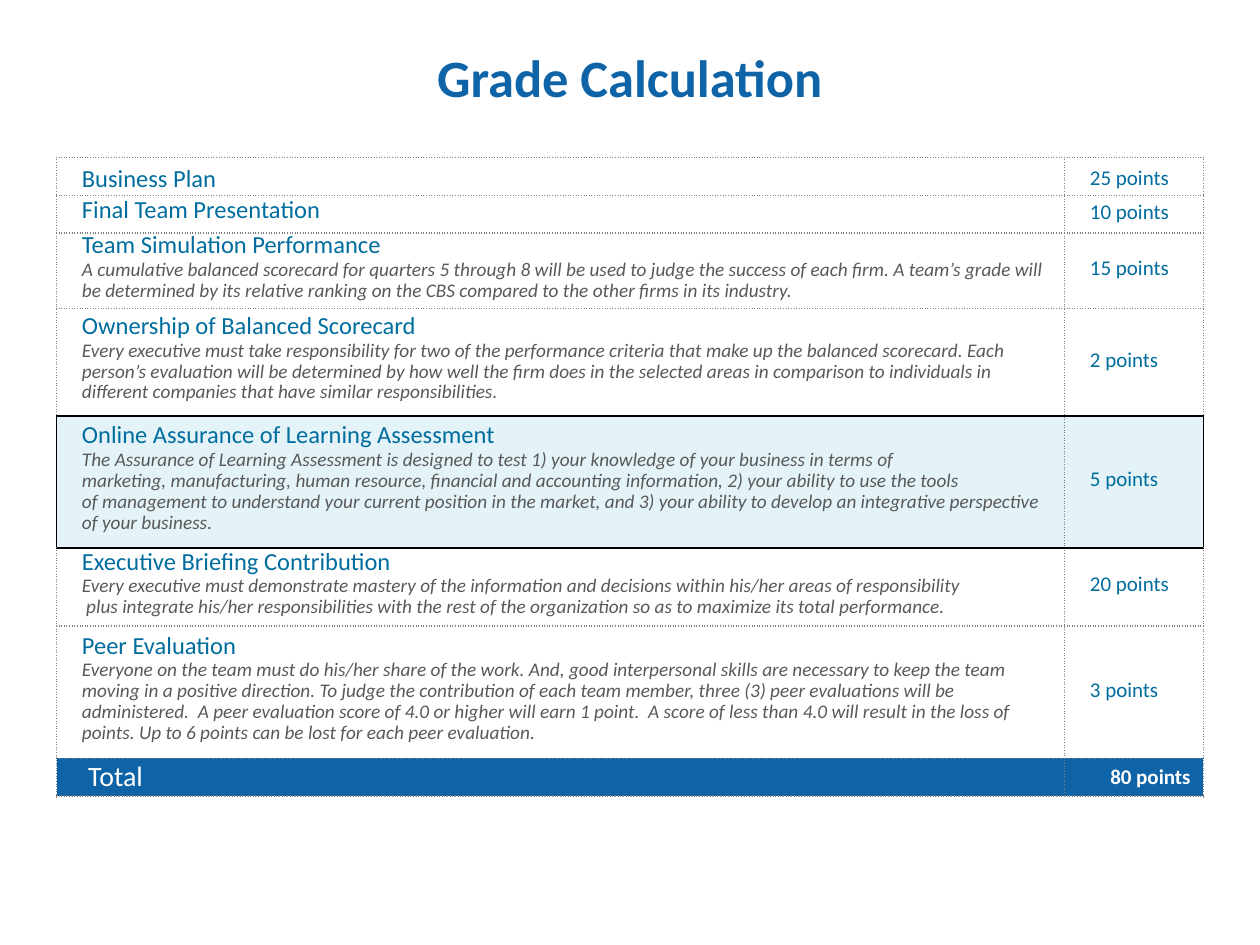
from lxml import etree
from pptx import Presentation
from pptx import util as u
from pptx.dml.color import RGBColor
from pptx.enum import text
from pptx.oxml.ns import qn

# Content: heading, description paragraphs, points, row height
GRADES = [
    ("Business Plan", [], "25 points", 21.6),
    ("Final Team Presentation", [], "10 points", 21.6),
    ("Team Simulation Performance", [
        "A cumulative balanced scorecard for quarters 5 through 8 will be used to judge the "
        "success of each firm. A team’s grade will be determined by its relative ranking on "
        "the CBS compared to the other firms in its industry."], "15 points", 43.2),
    ("Ownership of Balanced Scorecard", [
        "Every executive must take responsibility for two of the performance criteria that "
        "make up the balanced scorecard. Each person’s evaluation will be determined by how "
        "well the firm does in the selected areas in comparison to individuals in different "
        "companies that have similar responsibilities."], "2 points", 61.2),
    ("Online Assurance of Learning Assessment", [
        "The Assurance of Learning Assessment is designed to test 1) your knowledge of your "
        "business in terms of",
        "marketing, manufacturing, human resource, financial and accounting information, "
        "2) your ability to use the tools\nof management to understand your current position "
        "in the market, and 3) your ability to develop an integrative perspective of your "
        "business."], "5 points", 75.6),
    ("Executive Briefing Contribution", [
        "Every executive must demonstrate mastery of the information and decisions within "
        "his/her areas of responsibility",
        " plus integrate his/her responsibilities with the rest of the organization so as to "
        "maximize its total performance."], "20 points", 44.64),
    ("Peer Evaluation", [
        "Everyone on the team must do his/her share of the work. And, good interpersonal "
        "skills are necessary to keep the team moving in a positive direction. To judge the "
        "contribution of each team member, three (3) peer evaluations will be administered.  "
        "A peer evaluation score of 4.0 or higher will earn 1 point.  A score of less than "
        "4.0 will result in the loss of points. Up to 6 points can be lost for each peer "
        "evaluation."], "3 points", 75.6),
    (" Total", [], "80 points", 21.6),
]
HIGHLIGHT = 4
TOTAL = len(GRADES) - 1
COLUMNS = (576, 79.2)
LEFT, TOP = 32.4, 90
BLUE, TEAL, GRAY, WHITE = "0F64A8", "006D9E", "595959", "FFFFFF"
DOTTED, SOLID = ("7F7F7F", "sysDot"), ("000000", "solid")


def color(hex_value):
    return RGBColor.from_string(hex_value)


def write(paragraph, words, size, ink, spacing=None, bold=False, italic=False):
    paragraph.text = words
    paragraph.line_spacing = spacing
    font = paragraph.font
    font.name, font.size = "Calibri", u.Pt(size)
    font.bold, font.italic = bold, italic
    font.color.rgb = color(ink)


def set_borders(cell, sides):
    """Draw left, right, top and bottom borders, ahead of the cell's fill."""
    properties = cell._tc.get_or_add_tcPr()
    for position, (side, (ink, dash)) in enumerate(zip("LRTB", sides)):
        line = etree.Element(qn(f"a:ln{side}"), w=str(u.Pt(1)))
        fill = etree.SubElement(line, qn("a:solidFill"))
        etree.SubElement(fill, qn("a:srgbClr"), val=ink)
        etree.SubElement(line, qn("a:prstDash"), val=dash)
        properties.insert(position, line)


def border_sides(row, column):
    framed = row == HIGHLIGHT
    return (SOLID if framed and column == 0 else DOTTED,
            SOLID if framed and column == 1 else DOTTED,
            SOLID if row in (HIGHLIGHT, HIGHLIGHT + 1) else DOTTED,
            SOLID if row in (HIGHLIGHT - 1, HIGHLIGHT) else DOTTED)


def main():
    deck = Presentation()
    deck.slide_width, deck.slide_height = u.Pt(720), u.Pt(540)
    slide = deck.slides.add_slide(deck.slide_layouts[6])

    # Title
    title = slide.shapes.add_textbox(
        u.Pt(LEFT), u.Pt(12.24), u.Pt(sum(COLUMNS)), u.Pt(62.64)).text_frame
    title.word_wrap = True
    title.vertical_anchor = text.MSO_ANCHOR.MIDDLE
    write(title.paragraphs[0], "Grade Calculation", 30, BLUE, bold=True)
    title.paragraphs[0].alignment = text.PP_ALIGN.CENTER

    # Grade table
    grades = slide.shapes.add_table(
        len(GRADES), len(COLUMNS), u.Pt(LEFT), u.Pt(TOP), u.Pt(sum(COLUMNS)),
        u.Pt(sum(height for *_, height in GRADES))).table
    grades.first_row = grades.horz_banding = False
    for column, width in zip(grades.columns, COLUMNS):
        column.width = u.Pt(width)

    for row, (heading, descriptions, points, height) in enumerate(GRADES):
        grades.rows[row].height = u.Pt(height)
        is_total = row == TOTAL
        ink = WHITE if is_total else TEAL
        spacing = {0: 1.15, TOTAL: None}.get(row, u.Pt(12))
        for column in range(len(COLUMNS)):
            cell = grades.cell(row, column)
            cell.margin_left, cell.margin_right = u.Pt(14.4), u.Pt(7.2)
            cell.margin_top = cell.margin_bottom = u.Pt(0.72)
            cell.vertical_anchor = text.MSO_ANCHOR.MIDDLE
            if is_total or row == HIGHLIGHT:
                cell.fill.solid()
                cell.fill.fore_color.rgb = color(BLUE if is_total else "E4F3F7")
            else:
                cell.fill.background()
            set_borders(cell, border_sides(row, column))

        # Heading with its description, then the points
        label = grades.cell(row, 0).text_frame
        write(label.paragraphs[0], heading, 16 if is_total else 14, ink, spacing)
        for description in descriptions:
            write(label.add_paragraph(), description, 11, GRAY, spacing, italic=True)
        score = grades.cell(row, 1).text_frame.paragraphs[0]
        write(score, points, 12, ink, spacing, bold=is_total)
        if is_total:
            score.alignment = text.PP_ALIGN.RIGHT

    deck.save("out.pptx")


if __name__ == "__main__":
    main()
